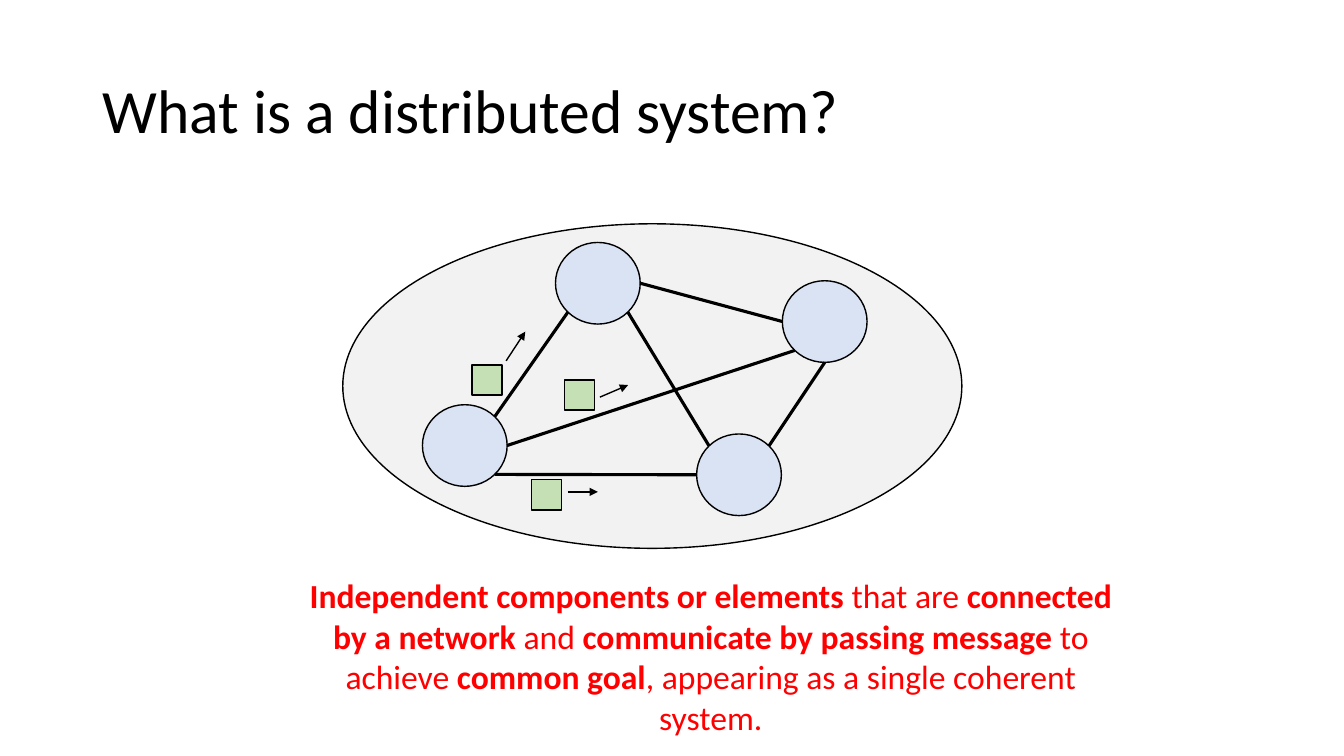
from dataclasses import dataclass
from math import cos, radians, sin

from lxml.etree import SubElement
from pptx import Presentation
from pptx.dml.color import RGBColor as RGB
from pptx.enum.shapes import MSO_CONNECTOR as LINE, MSO_SHAPE as SHAPE
from pptx.enum.text import MSO_ANCHOR as ANCHOR, PP_ALIGN as ALIGN
from pptx.oxml.ns import qn
from pptx.util import Emu, Pt


@dataclass(frozen=True)
class Theme:
    font: str = "Calibri"
    title_size: int = 44
    body_size: int = 24
    ink: str = "000000"
    emphasis: str = "FF0000"
    system: str = "F2F2F2"
    node: str = "DAE3F3"
    message: str = "C5E0B4"
    outline: float = 1
    link: float = 2.25


THEME = Theme()
NODE_W, NODE_H = 84, 81
MESSAGE = 30

# Centre of each node
NODES = {
    "top": (593, 281),
    "left": (461, 442),
    "right": (818, 319),
    "bottom": (733, 471),
}

# Node and rim angle (clockwise from the right) at both ends of a link
LINKS = [
    ("left", -45, "top", 135),
    ("left", 45, "bottom", 180),
    ("left", 0, "right", 135),
    ("top", 45, "bottom", -135),
    ("right", 90, "bottom", -45),
    ("top", 0, "right", 180),
]

# Corner of each message, then the two ends of its arrow
MESSAGES = [
    ((468, 362), (502, 358), (521, 329)),
    ((560, 377), (595, 394), (623, 382)),
    ((527, 476), (563, 488), (593, 488)),
]

DEFINITION = [
    ("Independent components or elements ", True),
    ("that are ", False),
    ("connected by a network ", True),
    ("and ", False),
    ("communicate by passing message", True),
    (" to achieve ", False),
    ("common goal", True),
    (", appearing as a single coherent system.", False),
]


def px(value):
    """100 px to the inch."""
    return Emu(round(value * 9144))


def add_text(slide, box, runs, *, size, color, align=ALIGN.LEFT,
             anchor=ANCHOR.TOP, spacing=1, inset=(0, 0)):
    frame = slide.shapes.add_textbox(*map(px, box)).text_frame
    frame.word_wrap = True
    frame.vertical_anchor = anchor
    frame.margin_left = frame.margin_right = px(inset[0])
    frame.margin_top = frame.margin_bottom = px(inset[1])
    paragraph = frame.paragraphs[0]
    paragraph.alignment = align
    paragraph.line_spacing = spacing
    for words, bold in runs:
        run = paragraph.add_run()
        run.text = words
        run.font.name = THEME.font
        run.font.size = Pt(size)
        run.font.bold = bold
        run.font.color.rgb = RGB.from_string(color)


def add_figure(slide, kind, box, fill):
    figure = slide.shapes.add_shape(kind, *map(px, box))
    figure.shadow.inherit = False
    figure.fill.solid()
    figure.fill.fore_color.rgb = RGB.from_string(fill)
    figure.line.color.rgb = RGB.from_string(THEME.ink)
    figure.line.width = Pt(THEME.outline)


def add_line(slide, start, end, width, arrow=False):
    line = slide.shapes.add_connector(LINE.STRAIGHT, *map(px, (*start, *end)))
    line.line.color.rgb = RGB.from_string(THEME.ink)
    line.line.width = Pt(width)
    properties = line._element.spPr
    if arrow:
        SubElement(properties.find(qn("a:ln")), qn("a:tailEnd"), type="triangle")
    SubElement(properties, qn("a:effectLst"))


def rim(node, angle):
    x, y = NODES[node]
    turn = radians(angle)
    return x + NODE_W / 2 * cos(turn), y + NODE_H / 2 * sin(turn)


def main():
    deck = Presentation()
    deck.slide_width, deck.slide_height = px(1333), px(750)
    slide = deck.slides.add_slide(deck.slide_layouts[6])

    # Title
    add_text(slide, (92, 40, 1150, 145), [("What is a distributed system?", False)],
             size=THEME.title_size, color=THEME.ink, anchor=ANCHOR.MIDDLE,
             spacing=0.9, inset=(10, 5))

    # System with its nodes
    add_figure(slide, SHAPE.OVAL, (340, 222, 614, 322), THEME.system)
    for x, y in NODES.values():
        add_figure(slide, SHAPE.OVAL,
                   (x - NODE_W / 2, y - NODE_H / 2, NODE_W, NODE_H), THEME.node)

    # Network links
    for origin, leave, target, arrive in LINKS:
        add_line(slide, rim(origin, leave), rim(target, arrive), THEME.link)

    # Messages under way
    for corner, start, end in MESSAGES:
        add_figure(slide, SHAPE.RECTANGLE, (*corner, MESSAGE, MESSAGE), THEME.message)
        add_line(slide, start, end, THEME.outline, arrow=True)

    # Definition
    add_text(slide, (290, 570, 830, 161), DEFINITION, size=THEME.body_size,
             color=THEME.emphasis, align=ALIGN.CENTER, spacing=Pt(29))

    deck.save("out.pptx")


if __name__ == "__main__":
    main()
